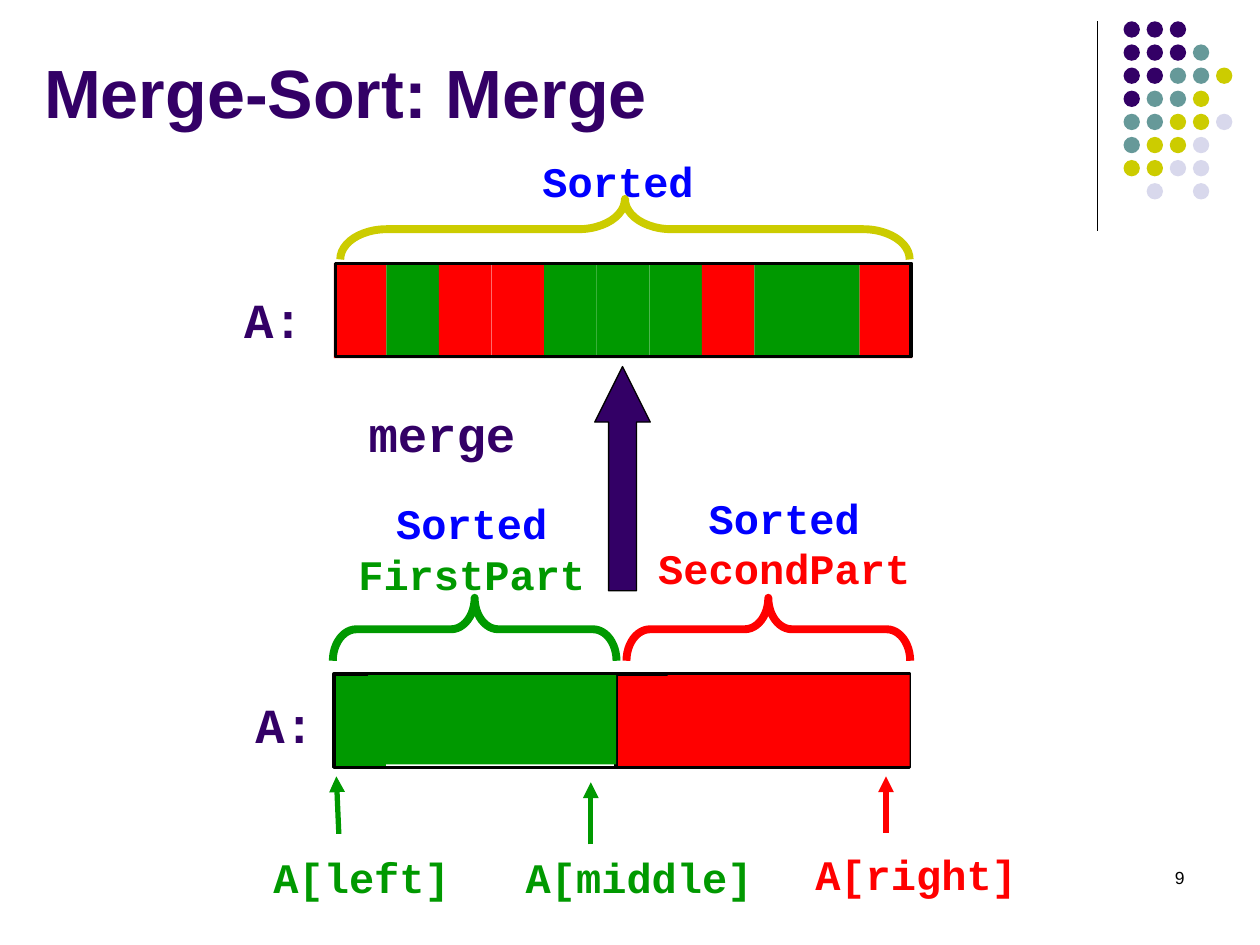
import lxml.etree
import pptx
import pptx.dml.color
import pptx.enum.shapes
import pptx.enum.text
import pptx.oxml.ns
import pptx.util

Cm = pptx.util.Cm
Pt = pptx.util.Pt
Kind = pptx.enum.shapes.MSO_SHAPE
Align = pptx.enum.text.PP_ALIGN
Fit = pptx.enum.text.MSO_AUTO_SIZE
Anchor = pptx.enum.text.MSO_ANCHOR
qn = pptx.oxml.ns.qn

HUES = {
    "black": "000000",
    "purple": "330066",
    "teal": "669999",
    "gold": "CCCC00",
    "pale": "D8D8EC",
    "green": "009900",
    "red": "FF0000",
    "blue": "0000FF",
}


class Deck:
    """Holds the style and the current slide, and draws each kind of element."""

    def __init__(self):
        self.file = pptx.Presentation()
        self.file.slide_width = Cm(25.4)
        self.file.slide_height = Cm(19.05)
        self.slide = self.file.slides.add_slide(self.file.slide_layouts[6])
        self.code = "Courier New"
        self.sans = "Arial"

    def tint(self, name):
        return pptx.dml.color.RGBColor.from_string(HUES[name])

    def shape(self, kind, box, fill=None, edge=None, width=2):
        item = self.slide.shapes.add_shape(kind, *map(Cm, box))
        item.shadow.inherit = False
        if fill:
            item.fill.solid()
            item.fill.fore_color.rgb = self.tint(fill)
        else:
            item.fill.background()
        if edge:
            item.line.color.rgb = self.tint(edge)
            item.line.width = Pt(width)
        else:
            item.line.fill.background()
        return item

    def bar(self, box, fill=None, edge=None):
        return self.shape(Kind.RECTANGLE, box, fill, edge)

    def brace(self, box, hue, curve):
        left, top, wide, high = box
        turned = (left + (wide - high) / 2, top + (high - wide) / 2, high, wide)
        item = self.shape(Kind.RIGHT_BRACE, turned, edge=hue, width=4.5)
        item.rotation = 270
        item.adjustments[0] = curve

    def line(self, ends, hue, width, arrow=False):
        straight = pptx.enum.shapes.MSO_CONNECTOR.STRAIGHT
        item = self.slide.shapes.add_connector(straight, *map(Cm, ends))
        item.line.color.rgb = self.tint(hue)
        item.line.width = Pt(width)
        props = item._element.spPr
        if arrow:
            lxml.etree.SubElement(props.find(qn("a:ln")), qn("a:tailEnd"), type="triangle")
        lxml.etree.SubElement(props, qn("a:effectLst"))

    def text(self, box, parts, size, align=Align.CENTER, font=None, bold=True, anchor=Anchor.TOP):
        frame = self.slide.shapes.add_textbox(*map(Cm, box)).text_frame
        frame.word_wrap = True
        frame.vertical_anchor = anchor
        para = frame.paragraphs[0]
        para.alignment = align
        if not font:
            frame.auto_size = Fit.SHAPE_TO_FIT_TEXT
            para.space_before = Pt(size * 0.625)
        for words, hue in parts:
            run = para.add_run()
            run.text = words
            run.font.name = font or self.code
            run.font.size = Pt(size)
            run.font.bold = bold
            run.font.color.rgb = self.tint(hue)

    def dots(self, left, top, step, size, rows):
        names = {"P": "purple", "T": "teal", "G": "gold", "L": "pale"}
        for y, row in enumerate(rows):
            for x, mark in enumerate(row):
                if mark in names:
                    spot = (left + x * step, top + y * step, size, size)
                    self.shape(Kind.OVAL, spot, names[mark])

    def cells(self, left, top, wide, high, marks):
        for x, mark in enumerate(marks):
            hue = "red" if mark == "R" else "green"
            self.bar((left + x * wide, top, wide, high), hue)


def main():
    deck = Deck()
    deck.line((22.12, 0.43, 22.12, 4.65), "black", 0.75)
    rows = ["PPP", "PPPT", "PPTTG", "PTTG", "TTGGL", "TGGL", "GGLL", "-L-L"]
    deck.dots(22.65, 0.43, 0.466, 0.33, rows)
    deck.text((0.64, 0.61, 21.59, 2.44), [("Merge-Sort: Merge", "purple")], 39,
              Align.LEFT, deck.sans, anchor=Anchor.MIDDLE)
    deck.text((18.21, 17.35, 5.92, 1.27), [("9", "black")], 10,
              Align.RIGHT, deck.sans, bold=False)

    deck.bar((12.42, 13.56, 1.07, 1.91), "red")
    deck.bar((6.71, 13.56, 1.07, 1.91), "green")
    deck.bar((6.73, 13.59, 11.61, 1.88), edge="black")
    deck.line((12.42, 13.56, 12.42, 15.47), "black", 2)
    deck.bar((13.46, 13.61, 4.88, 1.83), "red")
    deck.bar((7.42, 13.61, 5, 1.8), "green")

    deck.cells(6.73, 5.31, 1.06, 1.91, "RGRRGGGRGGR")
    deck.bar((6.76, 5.31, 11.61, 1.88), edge="black")

    for left, hue in ((6.71, "green"), (12.63, "red")):
        deck.brace((left, 12.05, 5.72, 1.27), hue, 0.375)
    deck.brace((6.86, 4.01, 11.48, 1.22), "gold", 0.77)

    arrow = deck.shape(Kind.UP_ARROW, (11.99, 7.39, 1.12, 4.52), "purple", "black", 0.75)
    arrow.adjustments[0] = 0.5
    arrow.adjustments[1] = 1

    for ends, hue in (
        ((6.83, 16.81, 6.78, 15.65), "green"),
        ((11.91, 17.02, 11.91, 15.77), "green"),
        ((17.86, 16.79, 17.86, 15.65), "red"),
    ):
        deck.line(ends, hue, 3, arrow=True)

    sort = ("Sorted ", "blue")
    for box, parts, align in (
        ((9.07, 3.02, 6.78, 1.27), [("Sorted", "blue")], Align.CENTER),
        ((6.65, 9.91, 5.72, 2.29), [sort, ("FirstPart", "green")], Align.CENTER),
        ((12.42, 9.8, 6.78, 2.29), [sort, ("SecondPart", "red")], Align.CENTER),
        ((4.85, 17.04, 4.88, 1.27), [("A[left]", "green")], Align.CENTER),
        ((9.88, 17.04, 5.54, 1.27), [("A[middle]", "green")], Align.RIGHT),
        ((15.62, 16.99, 5.13, 1.27), [("A[right]", "red")], Align.RIGHT),
    ):
        deck.text(box, parts, 24, align)

    deck.text((6.27, 8, 5.28, 1.45), [("merge", "purple")], 28)
    for left, top in ((4.67, 5.72), (4.9, 13.87)):
        deck.text((left, top, 1.8, 1.45), [("A:", "purple")], 28, Align.LEFT)

    deck.file.save("out.pptx")


if __name__ == "__main__":
    main()
